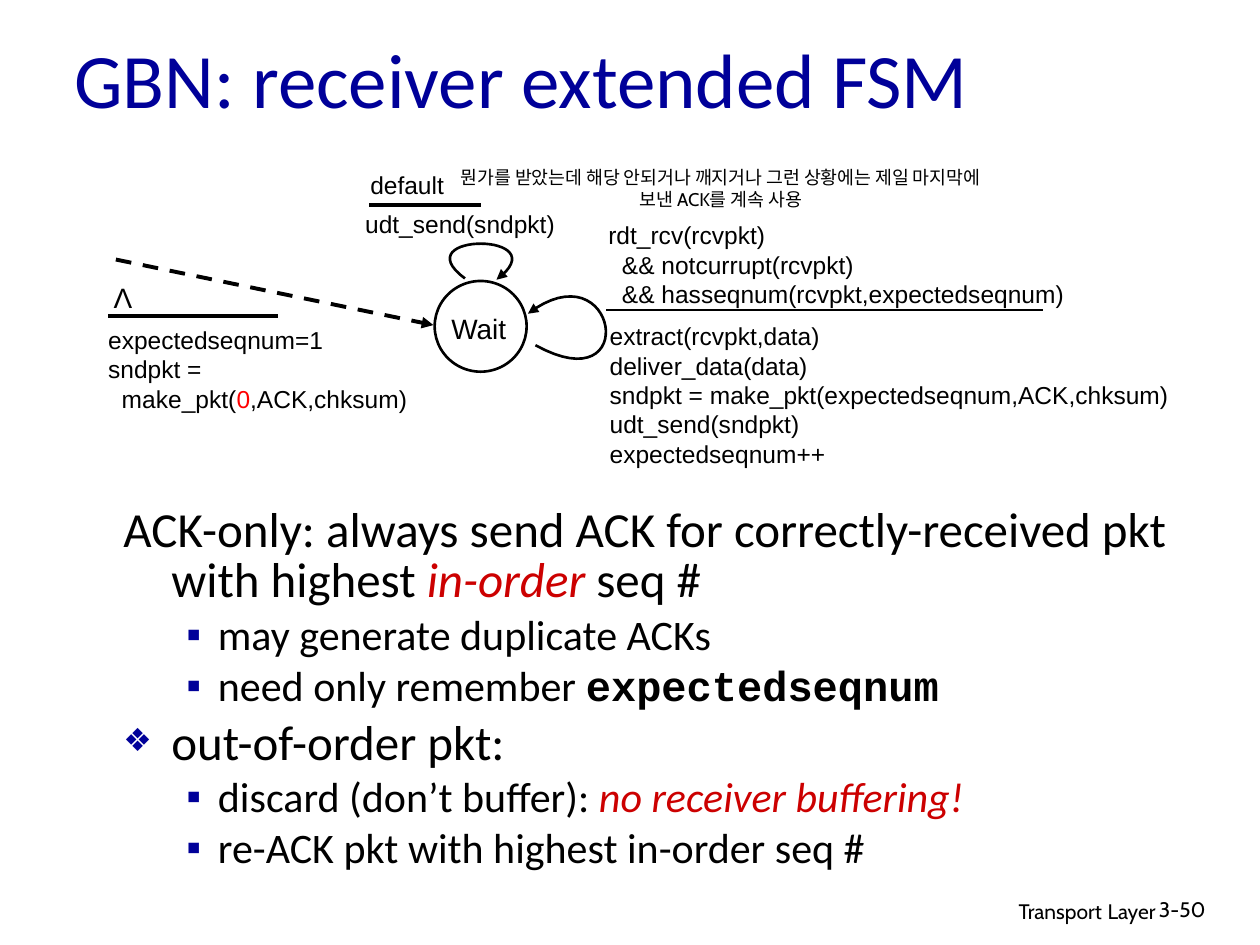
from dataclasses import dataclass

from lxml.etree import SubElement
from pptx import Presentation
from pptx.dml.color import RGBColor
from pptx.enum.dml import MSO_LINE
from pptx.enum.shapes import MSO_CONNECTOR, MSO_SHAPE
from pptx.enum.text import MSO_ANCHOR, MSO_AUTO_SIZE, PP_ALIGN
from pptx.oxml.ns import qn
from pptx.util import Inches, Pt

COLORS = {"black": "000000", "white": "FFFFFF", "navy": "000099",
          "crimson": "CC0000", "red": "FF0000"}
STEPS = 32


@dataclass
class Run:
    text: str
    color: str = "black"
    italic: bool = False
    bold: bool = False
    font: str = ""
    size: float = 0


@dataclass
class Label:
    box: tuple[float, float, float, float]
    lines: list[list[Run]]
    size: float = 14
    font: str = "Arial"
    align: PP_ALIGN = PP_ALIGN.LEFT
    wrap: bool = True


@dataclass
class Line:
    start: tuple[float, float]
    end: tuple[float, float]
    width: float = 2.25
    dashed: bool = False


@dataclass
class Item:
    runs: list[Run]
    level: int = 0
    bullet: str = ""


def rgb(name: str) -> RGBColor:
    return RGBColor.from_string(COLORS[name])


def place(shape, box: tuple) -> None:
    shape.left, shape.top, shape.width, shape.height = map(Inches, box)


def write(para, runs: list[Run], size: float, font: str) -> None:
    for part in runs:
        run = para.add_run()
        run.text = part.text
        face = run.font
        face.size, face.name = Pt(part.size or size), part.font or font
        face.bold, face.italic = part.bold, part.italic
        face.color.rgb = rgb(part.color)


def code(*lines: str) -> list[list[Run]]:
    return [[Run(line)] for line in lines]


def add_label(slide, label: Label) -> None:
    frame = slide.shapes.add_textbox(*map(Inches, label.box)).text_frame
    frame.word_wrap = label.wrap
    for i, runs in enumerate(label.lines):
        para = frame.add_paragraph() if i else frame.paragraphs[0]
        para.alignment = label.align
        write(para, runs, label.size, label.font)


def add_head(shape) -> None:
    """Put an arrowhead at the end of the line."""
    SubElement(shape.line._get_or_add_ln(), qn("a:tailEnd"), type="triangle")


def add_line(slide, line: Line) -> None:
    wire = slide.shapes.add_connector(
        MSO_CONNECTOR.STRAIGHT, *map(Inches, line.start + line.end))
    wire.line.color.rgb, wire.line.width = rgb("black"), Pt(line.width)
    if line.dashed:
        wire.line.dash_style = MSO_LINE.DASH
        add_head(wire)
    SubElement(wire._element.spPr, qn("a:effectLst"))


def bend(t: float, a: float, b: float, c: float, d: float) -> int:
    """Give one coordinate of a cubic curve at t, from 0 to 1."""
    s = 1 - t
    return Inches(a * s**3 + 3 * b * s * s * t + 3 * c * s * t * t + d * t**3)


def add_loop(slide, *knots: tuple[float, float]) -> None:
    """Draw the cubic curve of four knots, with an arrowhead at its end."""
    xs, ys = zip(*knots)
    dots = [(bend(i / STEPS, *xs), bend(i / STEPS, *ys))
            for i in range(STEPS + 1)]
    pen = slide.shapes.build_freeform(*dots[0])
    pen.add_line_segments(dots[1:], close=False)
    loop = pen.convert_to_shape()
    loop.fill.background()
    loop.line.color.rgb, loop.line.width = rgb("black"), Pt(1.5)
    add_head(loop)
    loop.shadow.inherit = False


def add_item(para, item: Item) -> None:
    size = 24 if item.level else 28
    para.level, para.line_spacing = item.level, 0.85
    props = para._p.get_or_add_pPr()
    left, hang = (0.75, 0.25) if item.level else (0.38, 0.38)
    props.set("marL", str(Inches(left)))
    props.set("indent", str(-Inches(hang)))
    if item.bullet:
        tint = SubElement(props, qn("a:buClr"))
        SubElement(tint, qn("a:srgbClr"), val=COLORS["navy"])
        share = "100000" if item.level else "65000"
        SubElement(props, qn("a:buSzPct"), val=share)
        SubElement(props, qn("a:buChar"), char=item.bullet)
    else:
        SubElement(props, qn("a:buNone"))
    write(para, item.runs, size, "Calibri")
    para.space_before = Pt(size * 0.2)


LABELS = [
    Label((6.1, 7.05, 3.17, 0.31),
          [[Run("Transport"), Run(" ", size=14), Run("Layer")]],
          12, "Cabin", PP_ALIGN.RIGHT),
    Label((9.1, 7.07, 0.74, 0.3), code("3-50"), 12, "Cabin"),
    Label((3.36, 2.42, 0.88, 0.26), code("Wait"), 16, align=PP_ALIGN.CENTER),
    Label((2.8, 1.61, 1.77, 0.34), code("udt_send(sndpkt)")),
    Label((2.84, 1.3, 0.79, 0.27), code("default")),
    Label((4.73, 1.7, 3.9, 0.62), code(
        "rdt_rcv(rcvpkt)", "  && notcurrupt(rcvpkt)",
        "  && hasseqnum(rcvpkt,expectedseqnum)")),
    Label((4.74, 2.5, 4.72, 0.94), code(
        "extract(rcvpkt,data)", "deliver_data(data)",
        "sndpkt = make_pkt(expectedseqnum,ACK,chksum)",
        "udt_send(sndpkt)", "expectedseqnum++")),
    Label((0.76, 2.53, 3.98, 1.07), code("expectedseqnum=1", "sndpkt =") + [
        [Run("  make_pkt("), Run("0", "red"), Run(",ACK,chksum)")]]),
    Label((0.8, 2.18, 0.35, 0.37), code("Λ"), 16,
          align=PP_ALIGN.CENTER, wrap=False),
    Label((3.43, 1.27, 4.58, 0.45), code(
        "뭔가를 받았는데 해당 안되거나 깨지거나 그런 상황에는 제일 마지막에 "
        "보낸 ACK를 계속 사용"), 10.5, "Cabin", PP_ALIGN.CENTER),
]

LINES = [
    Line((0.92, 2.06), (3.44, 2.58), dashed=True),
    Line((2.93, 1.63), (3.82, 1.63)),
    Line((4.81, 2.46), (8.28, 2.46), 1.5),
    Line((0.86, 2.51), (2.21, 2.51)),
]

ITEMS = [
    Item([Run("ACK-only: always send ACK for correctly-received pkt "
              "with highest "),
          Run("in-order ", "crimson", italic=True), Run("seq #")]),
    Item([Run("may generate duplicate ACKs")], 1, "▪"),
    Item([Run("need only remember "),
          Run("expectedseqnum", bold=True, font="Courier New")], 1, "▪"),
    Item([Run("out-of-order pkt:")], 0, "❖"),
    Item([Run("discard (don’t buffer): "),
          Run("no receiver buffering!", "crimson", italic=True)], 1, "▪"),
    Item([Run("re-ACK pkt with highest in-order seq #")], 1, "▪"),
]


def main() -> None:
    deck = Presentation()
    deck.slide_width, deck.slide_height = Inches(10), Inches(7.5)
    slide = deck.slides.add_slide(deck.slide_layouts[1])
    title, body = slide.placeholders

    place(title, (0.49, 0.23, 8.5, 0.77))
    frame = title.text_frame
    frame.vertical_anchor = MSO_ANCHOR.MIDDLE
    frame.auto_size = MSO_AUTO_SIZE.NONE
    head = frame.paragraphs[0]
    head.alignment = PP_ALIGN.LEFT
    write(head, [Run("GBN: receiver extended FSM", "navy")], 44, "Calibri")

    place(body, (0.88, 3.98, 8.91, 3.12))
    frame = body.text_frame
    frame.auto_size = MSO_AUTO_SIZE.NONE
    for i, item in enumerate(ITEMS):
        add_item(frame.add_paragraph() if i else frame.paragraphs[0], item)
    frame.paragraphs[0].space_before = Pt(0)

    state = slide.shapes.add_shape(
        MSO_SHAPE.OVAL, *map(Inches, (3.45, 2.23, 0.73, 0.72)))
    state.shadow.inherit = False
    state.fill.solid()
    state.fill.fore_color.rgb = rgb("white")
    state.line.color.rgb, state.line.width = rgb("black"), Pt(1.5)

    for line in LINES:
        add_line(slide, line)
    add_loop(slide, (4.25, 2.74), (5.1, 3.21), (4.9, 1.95), (4.19, 2.49))
    add_loop(slide, (3.69, 2.21), (3.19, 1.84), (4.45, 1.84), (3.94, 2.22))
    for label in LABELS:
        add_label(slide, label)
    deck.save("out.pptx")


if __name__ == "__main__":
    main()
